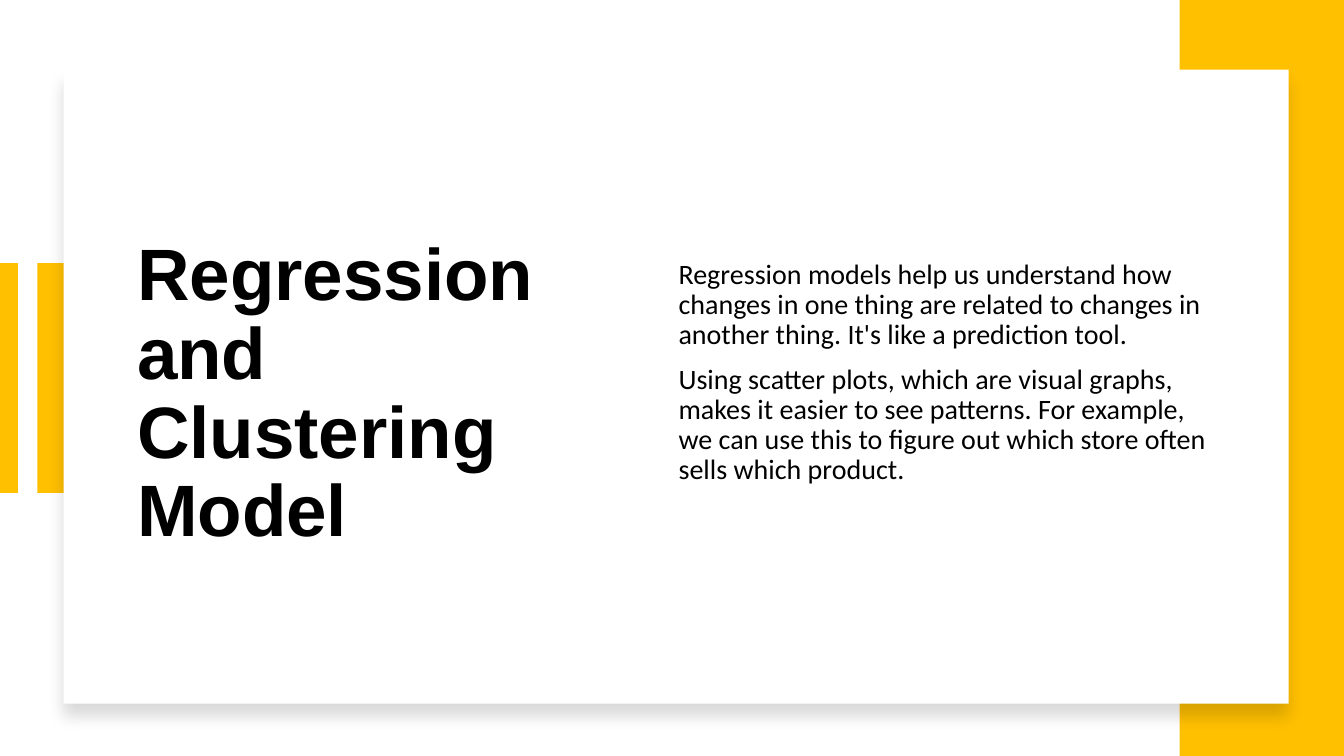
from dataclasses import dataclass

from lxml import etree
from pptx import Presentation
from pptx.dml.color import RGBColor
from pptx.enum.shapes import MSO_CONNECTOR, MSO_SHAPE
from pptx.enum.text import MSO_ANCHOR, MSO_AUTO_SIZE, PP_ALIGN
from pptx.oxml import parse_xml
from pptx.oxml.ns import nsdecls, qn
from pptx.util import Emu, Pt

RECTANGLE = MSO_SHAPE.RECTANGLE
STRAIGHT = MSO_CONNECTOR.STRAIGHT
MIDDLE = MSO_ANCHOR.MIDDLE
LEFT = PP_ALIGN.LEFT
NO_AUTOFIT = MSO_AUTO_SIZE.NONE

EMU_PER_PX = 9144  # 100 px to the inch
TITLE_AND_CONTENT = 1
AMBER, WHITE, BLACK = "FFC000", "FFFFFF", "000000"

TITLE = "Regression and Clustering Model"
BODY = [
    "Regression models help us understand how changes in one thing are related "
    "to changes in another thing. It's like a prediction tool.",
    "Using scatter plots, which are visual graphs, makes it easier to see patterns. "
    "For example, we can use this to figure out which store often sells which product.",
]


@dataclass(frozen=True)
class Box:
    left: int
    top: int
    width: int
    height: int


@dataclass(frozen=True)
class Panel:
    box: Box
    fill: str
    has_shadow: bool = False


PANELS = [
    Panel(Box(37, 261, 34, 228), AMBER),
    Panel(Box(1170, 0, 163, 750), AMBER),
    Panel(Box(63, 69, 1215, 629), WHITE, has_shadow=True),
]
TITLE_BOX = Box(126, 136, 438, 512)
BODY_BOX = Box(663, 136, 544, 512)


def px(length: int) -> Emu:
    return Emu(length * EMU_PER_PX)


def color(value: str) -> RGBColor:
    return RGBColor.from_string(value)


def add_soft_shadow(shape) -> None:
    properties = shape.element.spPr
    for effects in properties.findall(qn("a:effectLst")):
        properties.remove(effects)
    properties.append(parse_xml(
        f'<a:effectLst {nsdecls("a")}>'
        '<a:outerShdw blurRad="139700" dist="127000" dir="5400000" algn="t" rotWithShape="0">'
        f'<a:srgbClr val="{BLACK}"><a:alpha val="15000"/></a:srgbClr>'
        '</a:outerShdw></a:effectLst>'
    ))


def add_panel(slide, panel: Panel) -> None:
    box = panel.box
    shape = slide.shapes.add_shape(
        RECTANGLE, px(box.left), px(box.top), px(box.width), px(box.height))
    shape.fill.solid()
    shape.fill.fore_color.rgb = color(panel.fill)
    shape.line.fill.background()
    shape.shadow.inherit = False
    if panel.has_shadow:
        add_soft_shadow(shape)


def add_vertical_bar(slide, x: int, top: int, bottom: int, weight: int) -> None:
    connector = slide.shapes.add_connector(STRAIGHT, px(x), px(top), px(x), px(bottom))
    connector.line.color.rgb = color(AMBER)
    connector.line.width = Pt(weight)
    etree.SubElement(connector.element.spPr, qn("a:effectLst"))


def fill_placeholder(shape, box: Box, texts: list[str], *, font: str, size: int,
                     bold: bool = False, space_before: int = 0,
                     bottom_inset: int = 5) -> None:
    """Place the placeholder in front of the panels and set its unbulleted text."""
    shape.element.getparent().append(shape.element)
    shape.left, shape.top = px(box.left), px(box.top)
    shape.width, shape.height = px(box.width), px(box.height)
    frame = shape.text_frame
    frame.text = "\n".join(texts)
    frame.word_wrap = True
    frame.auto_size = NO_AUTOFIT
    frame.vertical_anchor = MIDDLE
    frame.margin_bottom = px(bottom_inset)
    for paragraph in frame.paragraphs:
        paragraph.alignment = LEFT
        paragraph.line_spacing = 0.9
        paragraph.space_before = Pt(space_before)
        paragraph.font.name = font
        paragraph.font.size = Pt(size)
        paragraph.font.bold = bold
        paragraph.font.color.rgb = color(BLACK)
        properties = paragraph.runs[0].font
        properties.name, properties.size, properties.bold = font, Pt(size), bold
        properties.color.rgb = color(BLACK)
        layout = paragraph._p.get_or_add_pPr()
        layout.set("marL", "0")
        layout.set("indent", "0")
        layout.insert_element_before(
            parse_xml(f'<a:buNone {nsdecls("a")}/>'),
            "a:tabLst", "a:defRPr", "a:extLst")


def main() -> None:
    presentation = Presentation()
    presentation.slide_width, presentation.slide_height = px(1333), px(750)
    slide = presentation.slides.add_slide(presentation.slide_layouts[TITLE_AND_CONTENT])
    slide.background.fill.solid()
    slide.background.fill.fore_color.rgb = color(WHITE)

    add_vertical_bar(slide, x=8, top=261, bottom=489, weight=14)
    for panel in PANELS:
        add_panel(slide, panel)
    fill_placeholder(slide.shapes.title, TITLE_BOX, [TITLE],
                     font="Arial", size=52, bold=True)
    fill_placeholder(slide.placeholders[1], BODY_BOX, BODY,
                     font="Calibri", size=20, space_before=10, bottom_inset=49)
    presentation.save("out.pptx")


if __name__ == "__main__":
    main()
